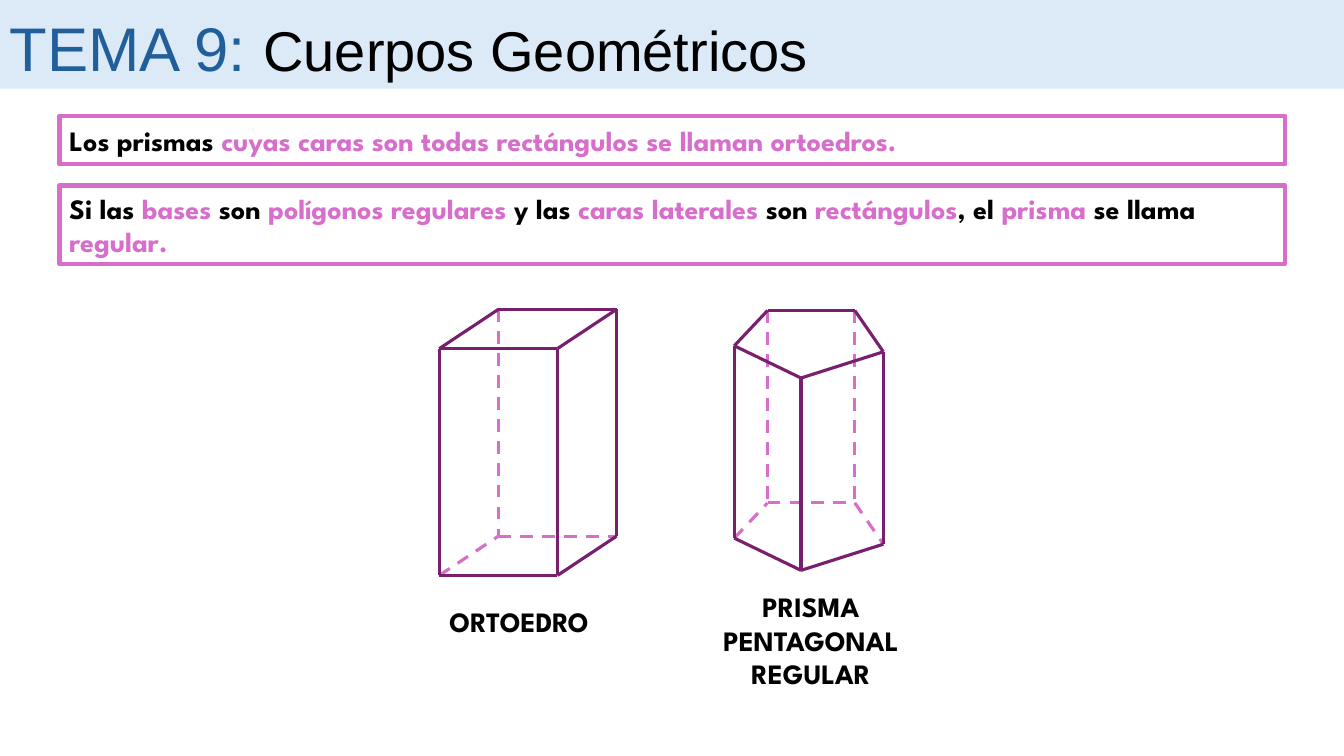
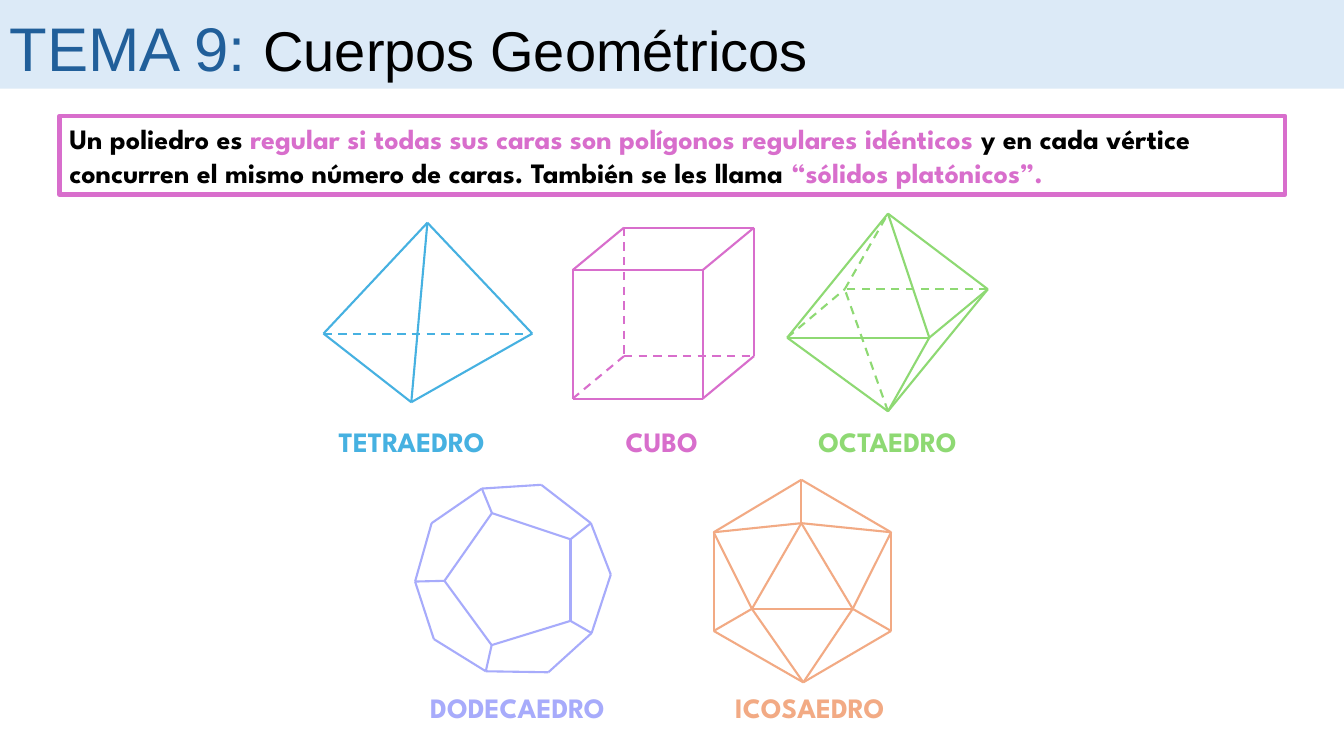
import itertools

import pptx
import pptx.dml.color
import pptx.enum.dml
import pptx.enum.shapes
import pptx.enum.text
import pptx.oxml
import pptx.util

Pt = pptx.util.Pt
ANCHOR = pptx.enum.text.MSO_ANCHOR
ALIGN = pptx.enum.text.PP_ALIGN

COLORS = {
    "band": "DCEAF7",
    "unit": "215F9A",
    "text": "000000",
    "pink": "D86ECC",
    "purple": "78206E",
    "blue": "46B1E1",
    "green": "8ED973",
    "lilac": "A7ABFB",
    "orange": "F2AA84",
}
TITLE_FONT = "Arial"
BODY_FONT = "League Spartan"
SLIDE_WIDTH, SLIDE_HEIGHT = 960, 540
BAND_HEIGHT = 63.4
BOX_LEFT, BOX_WIDTH = 42.5, 875.5
FIRST_BOX_TOP = 82.8
ONE_LINE, TWO_LINES = 34.6, 56.2
CAPTION_HEIGHT = 31.7

# Each solid: vertices by letter, visible edges, hidden edges
TETRAHEDRON = (
    {"T": (305.3, 159.1), "L": (231.1, 238.3), "R": (380.2, 238.3), "F": (293.8, 287.3)},
    "FR LF TL RT TF",
    "LR",
)
OCTAHEDRON = (
    {"T": (634.3, 152.6), "B": (634.3, 293.8), "L": (562.3, 241.2),
     "F": (663.8, 241.2), "R": (705.6, 206.6), "K": (603.4, 206.6)},
    "LF LB LT FR BF BR FT RT",
    "BK LK RK KT",
)
DODECAHEDRON = (
    {"A": (344.2, 349), "B": (386.6, 346.3), "C": (422.1, 373.7), "D": (436.3, 410.4),
     "E": (422.6, 452.2), "F": (391.7, 480.2), "G": (347, 479.5), "H": (309.9, 456.5),
     "I": (296.5, 415.4), "J": (308.3, 373.7), "K": (351.4, 366.5), "L": (407.5, 385.2),
     "M": (407.5, 443.5), "N": (351.2, 460.8), "O": (317.5, 414.9)},
    "AB BC CD DE EF FG GH HI IJ JA KL LM MN NO OK AK CL EM GN IO",
    "",
)
ICOSAHEDRON = (
    {"A": (572.4, 342.7), "B": (636.5, 380.2), "C": (636.5, 450.7), "D": (573.8, 487.4),
     "E": (509.8, 450.7), "F": (509.8, 380.2), "G": (572.4, 373.7), "H": (609.1, 434.9),
     "I": (537.1, 434.9)},
    "AB BC CD DE EF FA GH HI IG AG GB GF HB HC HD ID IE IF",
    "",
)


def rgb(color):
    return pptx.dml.color.RGBColor.from_string(COLORS[color])


def add_run(paragraph, text, font_name, size, color, bold=False):
    run = paragraph.add_run()
    run.text = text
    run.font.name = font_name
    run.font.size = Pt(size)
    run.font.bold = bold
    run.font.color.rgb = rgb(color)


def add_panel(slide, left, top, width, height, anchor):
    """Add a plain rectangle for left-aligned text; return it and its paragraph."""
    panel = slide.shapes.add_shape(
        pptx.enum.shapes.MSO_SHAPE.RECTANGLE, Pt(left), Pt(top), Pt(width), Pt(height))
    panel.shadow.inherit = False
    panel.text_frame.word_wrap = True
    panel.text_frame.vertical_anchor = anchor
    paragraph = panel.text_frame.paragraphs[0]
    paragraph.alignment = ALIGN.LEFT
    return panel, paragraph


def add_title_band(slide):
    band, title = add_panel(slide, 0, 0, SLIDE_WIDTH, BAND_HEIGHT, ANCHOR.BOTTOM)
    band.fill.solid()
    band.fill.fore_color.rgb = rgb("band")
    band.line.fill.background()
    add_run(title, "TEMA 9: ", TITLE_FONT, 44, "unit")
    add_run(title, "Cuerpos Geométricos", TITLE_FONT, 40, "text")


def add_definition(slide, top, height, *phrases):
    """Add a framed definition whose phrases alternate plain and highlighted."""
    frame, definition = add_panel(slide, BOX_LEFT, top, BOX_WIDTH, height, ANCHOR.MIDDLE)
    frame.fill.background()
    frame.line.color.rgb = rgb("pink")
    frame.line.width = Pt(3)
    for phrase, color in zip(phrases, itertools.cycle(("text", "pink"))):
        add_run(definition, phrase, BODY_FONT, 20, color, bold=True)


def add_caption(slide, left, top, width, color, *lines):
    caption = slide.shapes.add_textbox(
        Pt(left), Pt(top), Pt(width), Pt(CAPTION_HEIGHT))
    frame = caption.text_frame
    frame.word_wrap = True
    for number, line in enumerate(lines):
        paragraph = frame.add_paragraph() if number else frame.paragraphs[0]
        paragraph.alignment = ALIGN.CENTER
        add_run(paragraph, line, BODY_FONT, 20, color, bold=True)


def add_edge(group, start, end, color, width, hidden):
    edge = group.shapes.add_connector(
        pptx.enum.shapes.MSO_CONNECTOR.STRAIGHT, *(Pt(value) for value in (*start, *end)))
    edge.line.color.rgb = rgb(color)
    edge.line.width = Pt(width)
    if hidden:
        edge.line.dash_style = pptx.enum.dml.MSO_LINE.DASH
    properties = edge._element.spPr
    properties.append(properties.makeelement(pptx.oxml.ns.qn("a:effectLst"), {}))


def add_solid(slide, solid, color):
    vertices, visible, hidden = solid
    group = slide.shapes.add_group_shape()
    for edges, is_hidden in ((hidden, True), (visible, False)):
        for start, end in edges.split():
            add_edge(group, vertices[start], vertices[end], color, 1.5, is_hidden)


def add_prism(slide, top_face, height, back, color, hidden_color, width):
    """Draw a prism; edges that meet a bottom corner listed in back are hidden."""
    group = slide.shapes.add_group_shape()
    bottom_face = [(x, y + height) for x, y in top_face]
    visible, hidden = [], []
    for corner in range(len(top_face)):
        following = (corner + 1) % len(top_face)
        visible.append((top_face[corner], top_face[following]))
        side = hidden if corner in back else visible
        side.append((top_face[corner], bottom_face[corner]))
        base = hidden if back & {corner, following} else visible
        base.append((bottom_face[corner], bottom_face[following]))
    for start, end in hidden:
        add_edge(group, start, end, hidden_color, width, True)
    for start, end in visible:
        add_edge(group, start, end, color, width, False)


def box_top(left, front, width, depth_x, depth_y):
    """Return the top face of a box: front left, back left, back right, front right."""
    back = front - depth_y
    return [(left, front), (left + depth_x, back),
            (left + width + depth_x, back), (left + width, front)]


def build_prisms(slide):
    add_definition(slide, FIRST_BOX_TOP, ONE_LINE, "Los prismas ",
                   "cuyas caras son todas rectángulos se llaman ortoedros.")
    add_definition(slide, 132.5, TWO_LINES,
                   "Si las ", "bases", " son ", "polígonos regulares", " y las ",
                   "caras laterales ", "son ", "rectángulos", ", el ", "prisma",
                   " se llama ", "regular.")
    add_prism(slide, box_top(313.8, 249, 84.4, 42.2, 28), 162, {1},
              "purple", "pink", 2.25)
    pentagon = [(524.5, 247), (548.3, 221.8), (610.6, 221.8), (631, 251.3), (572.2, 270)]
    add_prism(slide, pentagon, 137.4, {1, 2}, "purple", "pink", 2.25)
    add_caption(slide, 299.5, 428.4, 142.6, "text", "ORTOEDRO")
    add_caption(slide, 485.3, 417.6, 188, "text", "PRISMA PENTAGONAL", "REGULAR")
    add_title_band(slide)


def build_platonic_solids(slide):
    add_definition(slide, FIRST_BOX_TOP, TWO_LINES, "Un poliedro es ",
                   "regular si todas sus caras son polígonos regulares idénticos ",
                   "y en cada vértice concurren el mismo número de caras. "
                   "También se les llama ",
                   "“sólidos platónicos”.")
    add_solid(slide, TETRAHEDRON, "blue")
    add_prism(slide, box_top(409, 193, 92.9, 36.7, 30.4), 91.8, {1}, "pink", "pink", 1.5)
    add_solid(slide, OCTAHEDRON, "green")
    add_solid(slide, ICOSAHEDRON, "orange")
    add_solid(slide, DODECAHEDRON, "lilac")
    upper, lower = 299.5, 489.6
    for left, top, color, name in (
        (188.6, upper, "blue", "TETRAEDRO"),
        (367.2, upper, "pink", "CUBO"),
        (528.5, upper, "green", "OCTAEDRO"),
        (264.2, lower, "lilac", "DODECAEDRO"),
        (473, lower, "orange", "ICOSAEDRO"),
    ):
        add_caption(slide, left, top, 211, color, name)
    add_title_band(slide)


def main():
    presentation = pptx.Presentation()
    presentation.slide_width = Pt(SLIDE_WIDTH)
    presentation.slide_height = Pt(SLIDE_HEIGHT)
    blank = presentation.slide_layouts[6]
    for build in (build_prisms, build_platonic_solids):
        build(presentation.slides.add_slide(blank))
    presentation.save("out.pptx")


if __name__ == "__main__":
    main()
